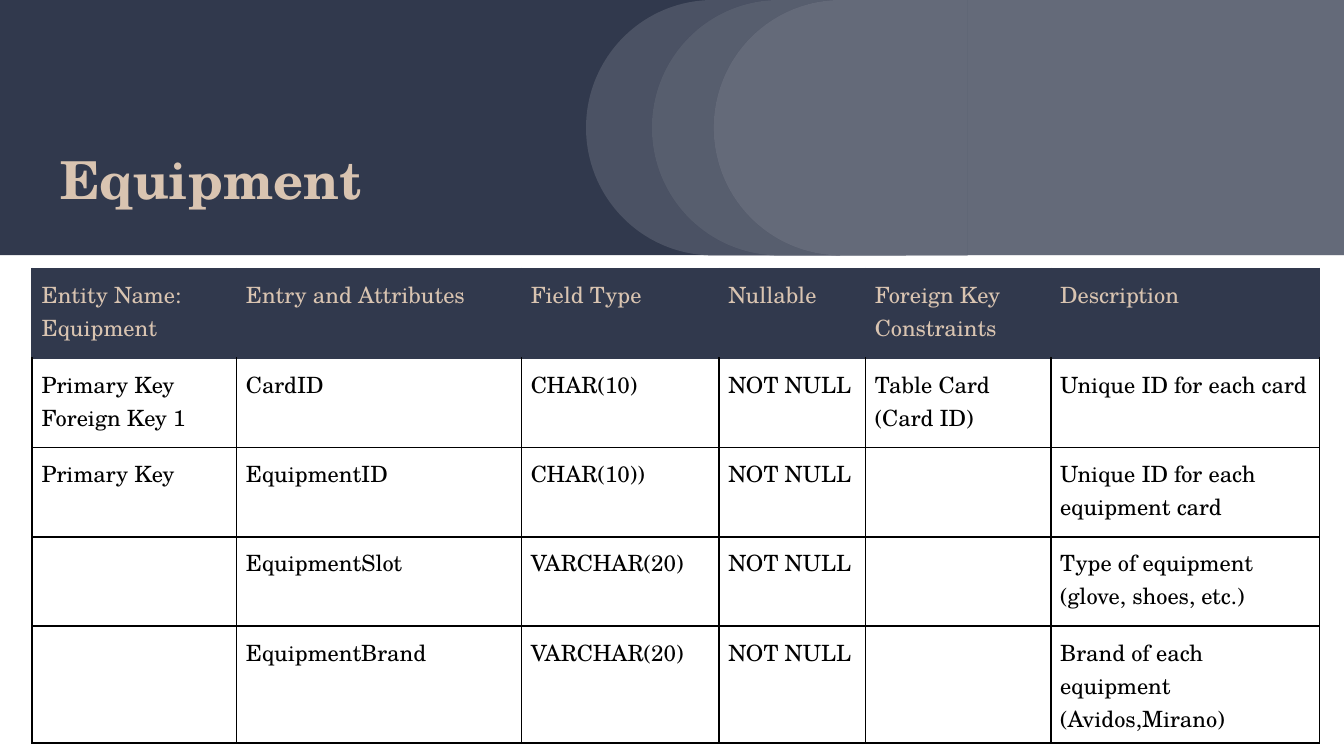
from lxml.etree import SubElement
from pptx import Presentation
from pptx.dml.color import RGBColor
from pptx.enum.shapes import MSO_SHAPE
from pptx.enum.text import MSO_ANCHOR
from pptx.oxml.ns import qn
from pptx.util import Inches, Pt

NAVY, SAND, BLACK, WHITE = "31394D", "D9C4B1", "000000", "FFFFFF"
FONT = "TeX Gyre Schola"


def rgb(color):
    return RGBColor.from_string(color)


def band(kind, left, width, color, alpha=100, turn=0):
    shape = slide.shapes.add_shape(
        kind, Inches(left), 0, Inches(width), Inches(1.9))
    shape.shadow.inherit = False
    shape.rotation = turn
    shape.line.fill.background()
    shape.fill.solid()
    shape.fill.fore_color.rgb = rgb(color)
    if alpha < 100:
        tint = shape.fill._xPr.find(qn("a:solidFill"))[0]
        SubElement(tint, qn("a:alpha"), val=str(alpha * 1000))


# Wide slide, 16 to 9
prs = Presentation()
prs.slide_width, prs.slide_height = Inches(10), Inches(10 * 9 / 16)
slide = prs.slides.add_slide(prs.slide_layouts[6])

# Header band with overlapping rounded layers
band(MSO_SHAPE.RECTANGLE, 0, 10, NAVY)
band(MSO_SHAPE.RECTANGLE, 7.16, 2.84, WHITE, 25)
for left, alpha in ((4.36, 13), (4.85, 19), (5.31, 25)):
    band(MSO_SHAPE.FLOWCHART_DELAY, left, 1.89, NAVY, turn=180)
    band(MSO_SHAPE.FLOWCHART_DELAY, left, 1.89, WHITE, alpha, turn=180)

# Title
title = slide.shapes.add_textbox(
    Inches(0.35), Inches(0.16), Inches(3.89), Inches(1.5))
frame = title.text_frame
frame.word_wrap = True
frame.vertical_anchor = MSO_ANCHOR.BOTTOM
for side in ("left", "right", "top", "bottom"):
    setattr(frame, f"margin_{side}", Inches(0.1))
frame.text = "Equipment"
font = frame.paragraphs[0].runs[0].font
style = {"name": FONT, "size": Pt(28), "bold": True}
for key, value in style.items():
    setattr(font, key, value)
font.color.rgb = rgb(SAND)

# Table of attributes
rows = [
    ["Entity Name: Equipment", "Entry and Attributes", "Field Type",
     "Nullable", "Foreign Key Constraints", "Description"],
    ["Primary Key\nForeign Key 1", "CardID", "CHAR(10)", "NOT NULL",
     "Table Card (Card ID)", "Unique ID for each card"],
    ["Primary Key", "EquipmentID", "CHAR(10))", "NOT NULL", "",
     "Unique ID for each equipment card"],
    ["", "EquipmentSlot", "VARCHAR(20)", "NOT NULL", "",
     "Type of equipment (glove, shoes, etc.)"],
    ["", "EquipmentBrand", "VARCHAR(20)", "NOT NULL", "",
     "Brand of each equipment (Avidos,Mirano)"],
]
widths = [1.52, 2.12, 1.47, 1.09, 1.38, 2]
heights = [2.66 / 4] * 4 + [0.87]
table = slide.shapes.add_table(
    len(rows), len(widths), Inches(0.24), Inches(2),
    Inches(sum(widths)), Inches(sum(heights))).table
table.first_row = table.horz_banding = False
for col, width in zip(table.columns, widths):
    col.width = Inches(width)
for row, height in zip(table.rows, heights):
    row.height = Inches(height)

style = {"name": FONT, "size": Pt(12)}
for r, row in enumerate(rows):
    for c, text in enumerate(row):
        cell = table.cell(r, c)
        cell.text = text
        for side in ("left", "right", "top", "bottom"):
            setattr(cell, f"margin_{side}", Inches(0.07))
        for para in cell.text_frame.paragraphs:
            for run in para.runs:
                for key, value in style.items():
                    setattr(run.font, key, value)
                run.font.color.rgb = rgb(BLACK if r else SAND)

        # Borders go before the fill in the cell properties
        props = cell._tc.get_or_add_tcPr()
        for edge in "LRTB":
            dark = r == 0 or (r == 1 and edge == "T")
            line = SubElement(props, qn(f"a:ln{edge}"), w=str(Pt(1)))
            fill = SubElement(line, qn("a:solidFill"))
            SubElement(fill, qn("a:srgbClr"), val=NAVY if dark else BLACK)
        if r:
            cell.fill.background()
        else:
            cell.fill.solid()
            cell.fill.fore_color.rgb = rgb(NAVY)

prs.save("out.pptx")
